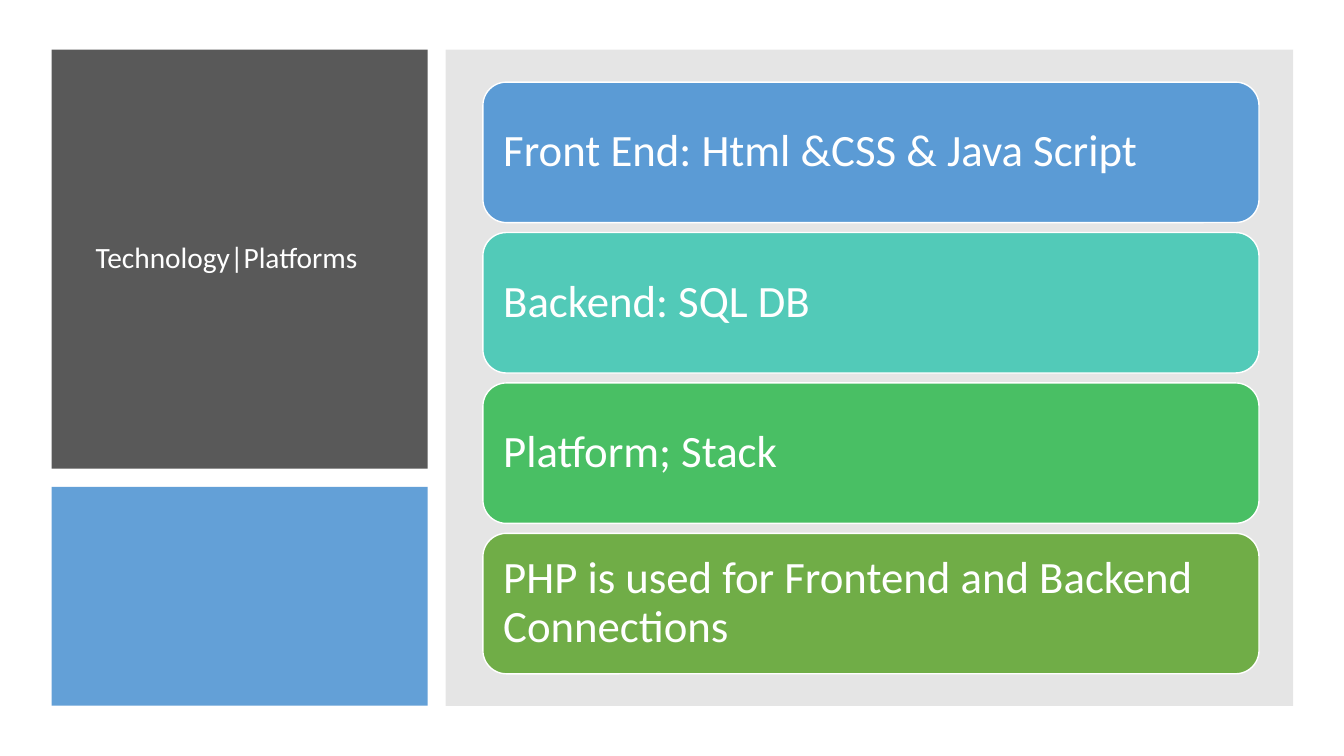
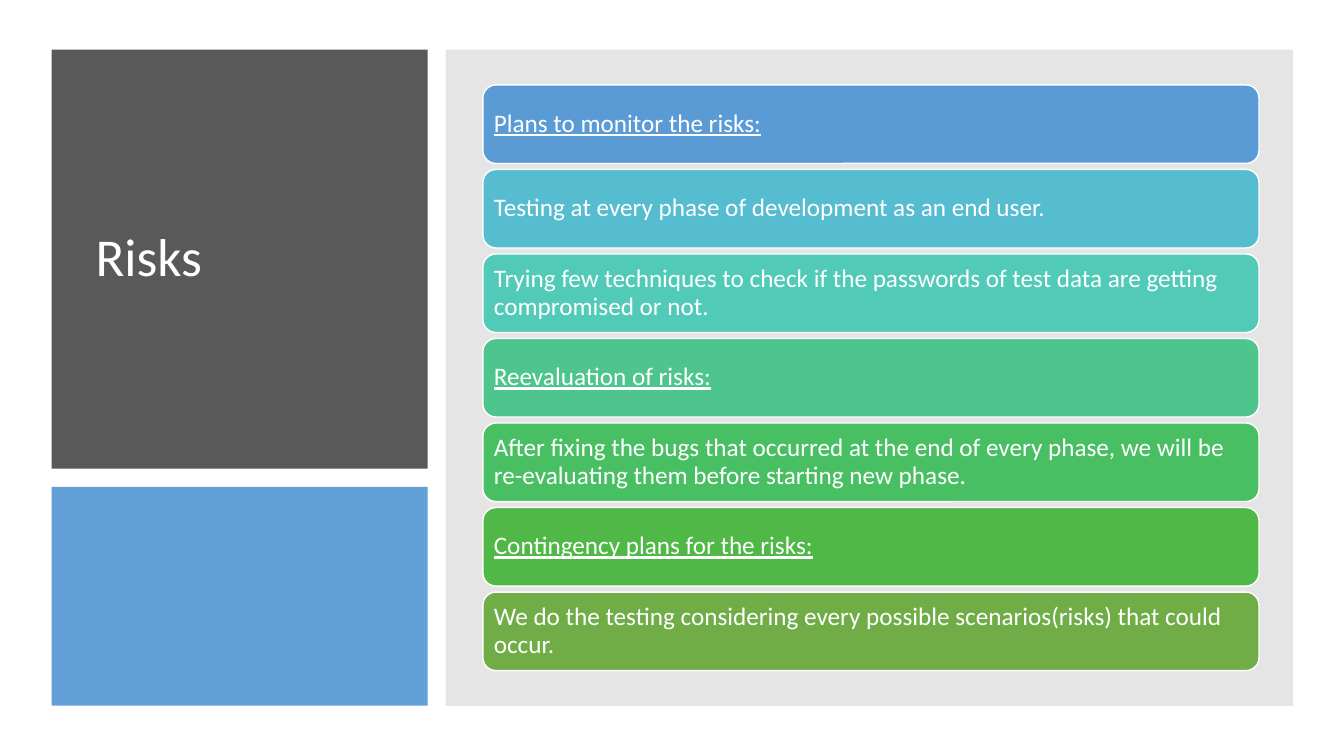
from lxml import etree
from pptx import Presentation
from pptx.dml.color import RGBColor
from pptx.enum.shapes import MSO_SHAPE
from pptx.enum.text import MSO_ANCHOR, PP_ALIGN
from pptx.oxml.ns import qn
from pptx.util import Cm, Pt

RECT = MSO_SHAPE.RECTANGLE
ROUNDED = MSO_SHAPE.ROUNDED_RECTANGLE
MIDDLE = MSO_ANCHOR.MIDDLE
LEFT = PP_ALIGN.LEFT

FONT = "Calibri"
WHITE = RGBColor(0xFF, 0xFF, 0xFF)
CHARCOAL = RGBColor(0x59, 0x59, 0x59)
GREY = RGBColor(0x80, 0x80, 0x80)
BLUE = RGBColor(0x5B, 0x9B, 0xD5)
CYAN = RGBColor(0x56, 0xBC, 0xD0)
TURQUOISE = RGBColor(0x52, 0xCA, 0xB8)
MINT = RGBColor(0x4D, 0xC5, 0x8D)
EMERALD = RGBColor(0x49, 0xBF, 0x64)
GREEN = RGBColor(0x50, 0xB8, 0x46)
OLIVE = RGBColor(0x70, 0xAD, 0x47)

# Bands behind every slide: left, top, width, height (cm), colour, opacity (%)
BANDS = [
    (1.3, 1.25, 9.48, 10.56, CHARCOAL, 100),
    (1.3, 12.27, 9.48, 5.51, BLUE, 95),
    (11.23, 1.25, 21.36, 16.54, GREY, 20),
]
CARD_LEFT, CARD_WIDTH = 12.17, 19.56

# Each card: text, colour, underlined
SLIDES = [
    dict(title="Technology|Platforms", title_size=21, top=2.07, height=3.54,
         pitch=3.79, inset=0.34, size=32, cards=[
             ("Front End: Html &CSS & Java Script", BLUE, False),
             ("Backend: SQL DB", TURQUOISE, False),
             ("Platform; Stack", EMERALD, False),
             ("PHP is used for Frontend and Backend Connections", OLIVE, False),
         ]),
    dict(title="Risks", title_size=38, top=2.14, height=1.98,
         pitch=2.13, inset=0.18, size=18, cards=[
             ("Plans to monitor the risks:", BLUE, True),
             ("Testing at every phase of development as an end user.", CYAN, False),
             ("Trying few techniques to check if the passwords of test data "
              "are getting compromised or not.", TURQUOISE, False),
             ("Reevaluation of risks:", MINT, True),
             ("After fixing the bugs that occurred at the end of every phase, "
              "we will be re-evaluating them before starting new phase.", EMERALD, False),
             ("Contingency plans for the risks:", GREEN, True),
             ("We do the testing considering every possible scenarios(risks) "
              "that could occur.", OLIVE, False),
         ]),
]


def add_block(slide, kind, left, top, width, height, color, opacity=100):
    block = slide.shapes.add_shape(kind, Cm(left), Cm(top), Cm(width), Cm(height))
    block.shadow.inherit = False
    block.fill.solid()
    block.fill.fore_color.rgb = color
    block.line.fill.background()
    if opacity < 100:
        tint = block.fill._xPr.find(".//" + qn("a:srgbClr"))
        etree.SubElement(tint, qn("a:alpha"), val=str(opacity * 1000))
    return block


def write(shape, text, size, inset=0.25, underline=None):
    frame = shape.text_frame
    frame.word_wrap = True
    frame.vertical_anchor = MIDDLE
    frame.margin_left = frame.margin_right = Cm(inset)
    frame.margin_top = frame.margin_bottom = Cm(inset)
    paragraph = frame.paragraphs[0]
    paragraph.alignment = LEFT
    paragraph.line_spacing = 0.9
    run = paragraph.add_run()
    run.text = text
    run.font.name = FONT
    run.font.size = Pt(size)
    run.font.color.rgb = WHITE
    run.font.underline = underline


deck = Presentation()
deck.slide_width, deck.slide_height = Cm(33.87), Cm(19.05)
blank = deck.slide_layouts[6]

for content in SLIDES:
    slide = deck.slides.add_slide(blank)

    # Shared bands and title
    for band in BANDS:
        add_block(slide, RECT, *band)
    title = slide.shapes.add_textbox(Cm(2.16), Cm(2.03), Cm(7.9), Cm(8.99))
    write(title, content["title"], content["title_size"])

    # Stack of cards at an equal pitch
    for row, (text, color, underlined) in enumerate(content["cards"]):
        card = add_block(slide, ROUNDED, CARD_LEFT, content["top"] + row * content["pitch"],
                         CARD_WIDTH, content["height"], color)
        card.line.color.rgb = WHITE
        card.line.width = Pt(1)
        write(card, text, content["size"], inset=content["inset"],
              underline=underlined or None)

deck.save("out.pptx")
